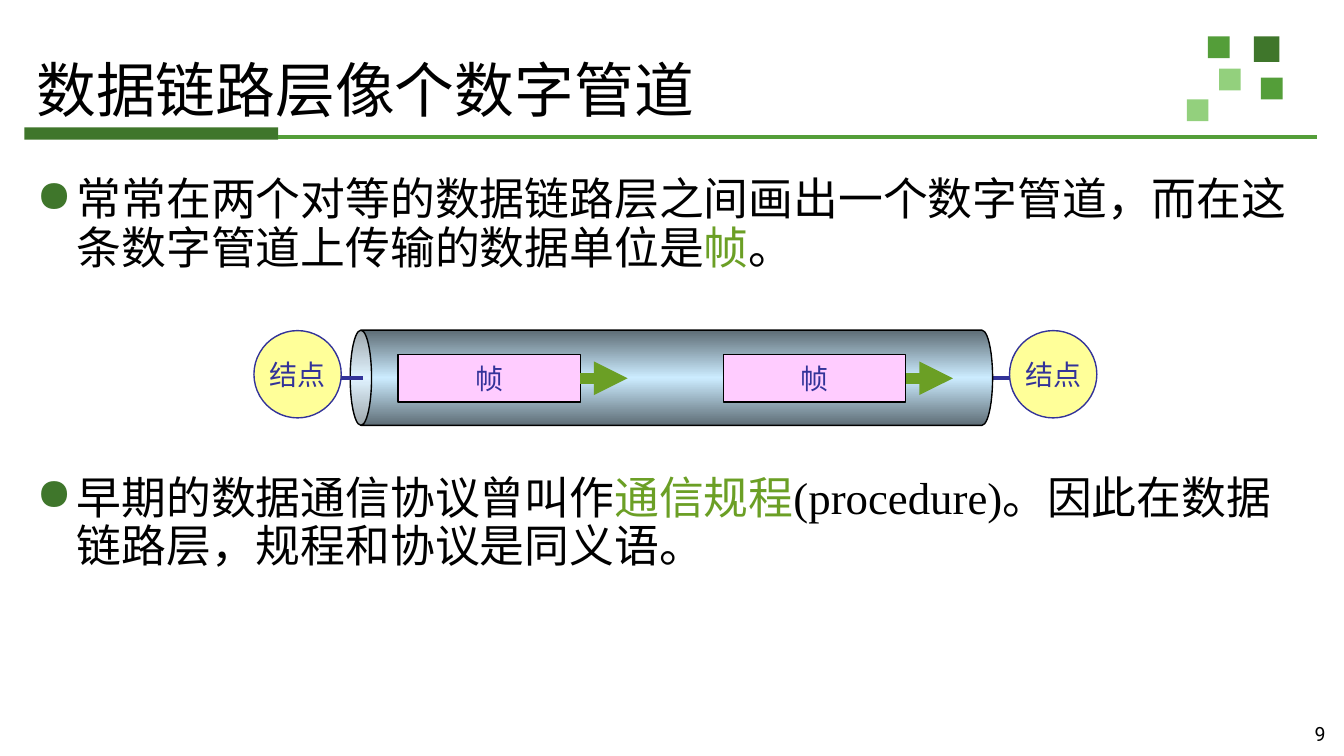
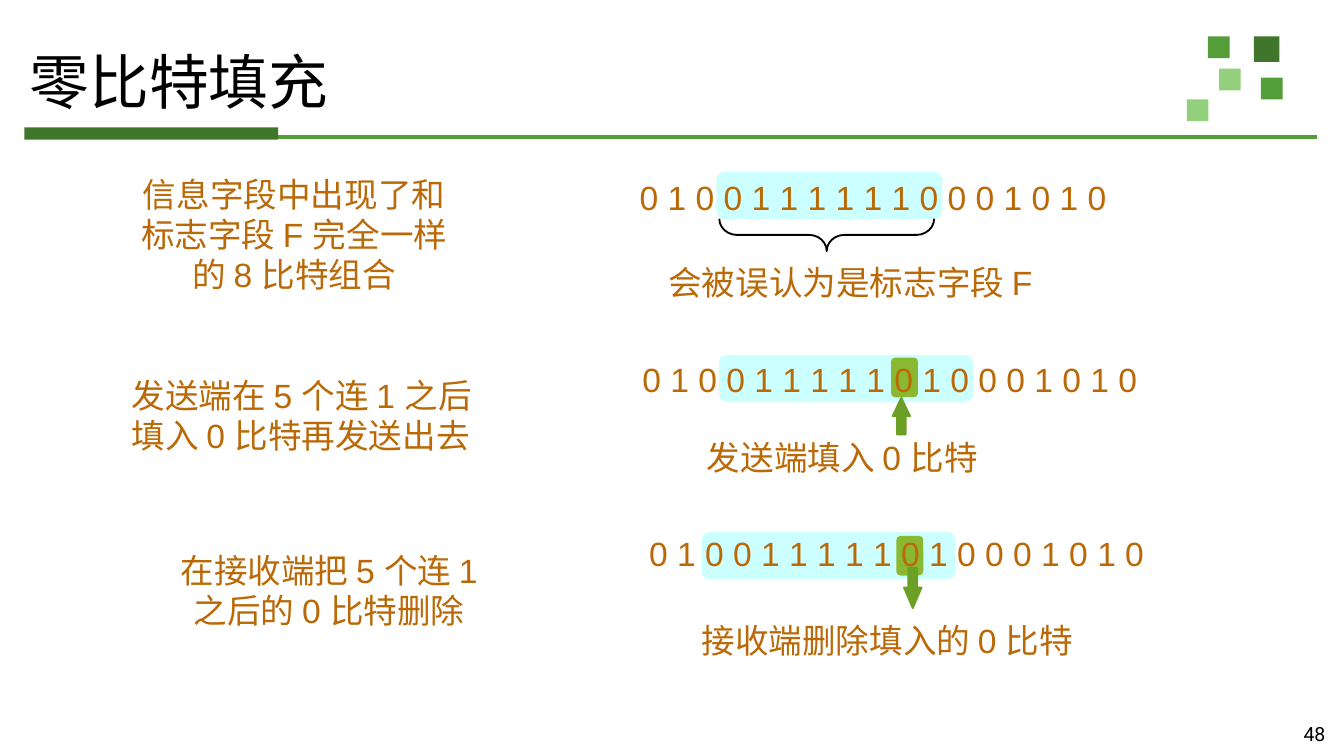
from copy import deepcopy

from lxml import etree
from pptx import Presentation
from pptx import util as u
from pptx.dml.color import RGBColor
from pptx.enum import shapes, text
from pptx.oxml.ns import qn

DARK_GREEN = RGBColor(0x3F, 0x76, 0x2B)
GREEN = RGBColor(0x54, 0x9E, 0x39)
PALE_GREEN = RGBColor(0x93, 0xD0, 0x7D)
ACCENT = RGBColor(0x6B, 0x9F, 0x25)
LIME = RGBColor(0x8A, 0xB8, 0x33)
BLACK = RGBColor(0, 0, 0)
NAVY = RGBColor(0x33, 0x33, 0x99)
YELLOW = RGBColor(0xFF, 0xFF, 0x99)
PINK = RGBColor(0xFF, 0xCC, 0xFF)
CYAN = RGBColor(0xCC, 0xFF, 0xFF)
STEEL = RGBColor(0x5E, 0x6D, 0x76)
SKY = RGBColor(0xCC, 0xEC, 0xFF)
ORANGE = RGBColor(0xBA, 0x69, 0x06)

SHAPE = shapes.MSO_SHAPE
LEFT, CENTER, RIGHT = text.PP_ALIGN.LEFT, text.PP_ALIGN.CENTER, text.PP_ALIGN.RIGHT
MIDDLE = text.MSO_ANCHOR.MIDDLE

# Corner squares: left, top, side, colour
SQUARES = [
    (23.7, 0.69, 0.48, DARK_GREEN),
    (22.83, 0.69, 0.41, GREEN),
    (23.83, 1.47, 0.41, GREEN),
    (23.04, 1.3, 0.41, PALE_GREEN),
    (22.43, 1.88, 0.41, PALE_GREEN),
]


def cm(values):
    return [u.Cm(value) for value in values]


class Deck:
    """Holds the presentation style and the current slide."""

    def __init__(self):
        self.prs = Presentation()
        self.prs.slide_width, self.prs.slide_height = cm((25.4, 14.29))
        self.slide = None

    def new_slide(self, title, title_box, title_font, number):
        self.slide = self.prs.slides.add_slide(self.prs.slide_layouts[6])
        for left, top, side, colour in SQUARES:
            self.shape(SHAPE.RECTANGLE, (left, top, side, side), colour)
        self.shape(SHAPE.RECTANGLE, (0.46, 2.41, 4.8, 0.23), DARK_GREEN)
        self.line((5.26, 2.59), (24.89, 2.59), GREEN, 2)
        heading = self.text(title_box, [title], 32, title_font, BLACK)
        heading.vertical_anchor = MIDDLE
        heading.paragraphs[0].line_spacing = 0.9
        self.text((23.83, 13.51, 1.47, 0.76), [str(number)], 10.5, "Roboto",
                  BLACK, RIGHT, (0.25, 0.13))

    def style(self, paragraph, size, font, colour, align=LEFT):
        paragraph.alignment = align
        paragraph.font.size = u.Pt(size)
        paragraph.font.name = font
        if colour is not None:
            paragraph.font.color.rgb = colour

    def frame(self, box, margins=(0.18, 0.1)):
        frame = self.slide.shapes.add_textbox(*cm(box)).text_frame
        frame.word_wrap = True
        frame.margin_left = frame.margin_right = u.Cm(margins[0])
        frame.margin_top = frame.margin_bottom = u.Cm(margins[1])
        return frame

    def text(self, box, lines, size, font, colour, align=LEFT, margins=(0.18, 0.1)):
        frame = self.frame(box, margins)
        frame.text = "\n".join(lines)
        for paragraph in frame.paragraphs:
            self.style(paragraph, size, font, colour, align)
        return frame

    def bullets(self, box, items, gap):
        """Each item is a list of (words, colour) pieces."""
        frame = self.frame(box)
        for index, pieces in enumerate(items):
            paragraph = frame.add_paragraph() if index else frame.paragraphs[0]
            paragraph.line_spacing = 0.9
            paragraph.space_before = u.Pt(gap if index else 0)
            props = paragraph._p.get_or_add_pPr()
            props.set("marL", str(u.Cm(0.76)))
            props.set("indent", str(u.Cm(-0.76)))
            tint = etree.SubElement(props, qn("a:buClr"))
            etree.SubElement(tint, qn("a:srgbClr"), val=str(DARK_GREEN))
            etree.SubElement(props, qn("a:buChar"), char="●")
            self.style(paragraph, 24, "Times New Roman", None)
            for words, colour in pieces:
                run = paragraph.add_run()
                run.text = words
                run.font.color.rgb = colour

    def shape(self, kind, box, fill=None, line=None, width=0.75, label="",
              turn=0, adjust=()):
        shape = self.slide.shapes.add_shape(kind, *cm(box))
        shape.shadow.inherit = False
        shape.rotation = turn
        for index, value in enumerate(adjust):
            shape.adjustments[index] = value
        if fill is None:
            shape.fill.background()
        else:
            shape.fill.solid()
            shape.fill.fore_color.rgb = fill
        if line is None:
            shape.line.fill.background()
        else:
            shape.line.color.rgb = line
            shape.line.width = u.Pt(width)
        if label:
            frame = shape.text_frame
            frame.word_wrap = False
            frame.vertical_anchor = MIDDLE
            frame.text = label
            self.style(frame.paragraphs[0], 15, "Roboto", NAVY, CENTER)
        return shape

    def pipe(self, box):
        pipe = self.shape(SHAPE.CAN, box, line=BLACK, turn=270, adjust=[0.224])
        pipe.fill.gradient()
        pipe.fill.gradient_angle = 0
        stops = pipe._element.spPr.find(qn("a:gradFill")).find(qn("a:gsLst"))
        stops.append(deepcopy(stops[0]))
        shades = ((0, STEEL), (0.5, SKY), (1, STEEL))
        for stop, (position, colour) in zip(pipe.fill.gradient_stops, shades):
            stop.position = position
            stop.color.rgb = colour

    def line(self, start, end, colour, width, arrow=False):
        line = self.slide.shapes.add_connector(
            shapes.MSO_CONNECTOR.STRAIGHT, *cm(start + end))
        line.line.color.rgb = colour
        line.line.width = u.Pt(width)
        etree.SubElement(line._element.spPr, qn("a:effectLst"))
        if arrow:
            etree.SubElement(line.line._get_or_add_ln(), qn("a:tailEnd"), type="triangle")
        return line

    def highlight(self, box, fill):
        self.shape(SHAPE.ROUNDED_RECTANGLE, box, fill, adjust=[0.167])

    def note(self, box, lines, align=LEFT):
        self.text(box, lines, 18, "Arial", ORANGE, align)


def digital_pipe(deck):
    deck.new_slide("数据链路层像个数字管道", (0.51, 0.97, 19.41, 1.6),
                   "Times New Roman", 9)
    deck.bullets((0.51, 3.25, 24.51, 10.69), [
        [("常常在两个对等的数据链路层之间画出一个数字管道，"
          "而在这条数字管道上传输的数据单位是", BLACK), ("帧", ACCENT), ("。", BLACK)],
        [("早期的数据通信协议曾叫作", BLACK), ("通信规程", ACCENT),
         ("(procedure)。因此在数据链路层，规程和协议是同义语。", BLACK)],
    ], gap=108)

    # Nodes joined through the pipe
    axis = 7.15
    for left in (4.8, 19.08):
        deck.shape(SHAPE.OVAL, (left, 6.25, 1.65, 1.65), YELLOW, NAVY, label="结点")
    deck.line((6.45, axis), (19.08, axis), NAVY, 2.25)
    deck.pipe((11.79, 1.07, 1.8, 12.14))
    deck.line((6.45, axis), (6.86, axis), NAVY, 2.25)

    # Frames moving along the pipe
    width, height = 3.45, 0.9
    for left in (7.52, 13.67):
        packet = deck.shape(SHAPE.RECTANGLE, (left, axis - height / 2, width, height),
                            PINK, BLACK, label="帧")
        motion = deck.line((left + width, axis), (left + width + 0.89, axis),
                           ACCENT, 6, arrow=True)
        motion.begin_connect(packet, 3)


def zero_bit_stuffing(deck):
    deck.new_slide("零比特填充", (0.38, 0.71, 24.46, 1.8), "Roboto", 48)

    # Highlights behind the bits: the flag pattern, then the stuffed zero
    for box in ((13.54, 3.25, 4.27, 0.89), (13.59, 6.71, 4.8, 0.89),
                (13.26, 10.06, 4.8, 0.89)):
        deck.highlight(box, CYAN)
    for left, top in ((16.84, 6.76), (16.94, 10.13)):
        deck.highlight((left, top, 0.51, 0.75), LIME)

    # Bit strings
    plain = "0 1 0 0 1 1 1 1 1 1 0 0 0 1 0 1 0"
    stuffed = "0 1 0 0 1 1 1 1 1 0 1 0 0 0 1 0 1 0"
    for left, top, bits in ((11.91, 3.25, plain), (11.96, 6.68, stuffed),
                            (12.09, 9.98, stuffed)):
        deck.note((left, top, 9.83, 0.97), [bits])

    # Explanations on the left
    deck.note((0.91, 3.18, 9.3, 2.49),
              ["信息字段中出现了和", "标志字段 F 完全一样", "的 8 比特组合"], CENTER)
    deck.note((2.31, 6.99, 8.61, 1.73),
              ["发送端在 5 个连 1 之后", "填入 0 比特再发送出去"])
    deck.note((2.31, 10.29, 7.82, 1.73),
              ["在接收端把 5 个连 1", "之后的 0 比特删除"], CENTER)

    # Captions under the bits
    for left, top, width, caption in (
            (12.45, 4.85, 7.54, "会被误认为是标志字段 F"),
            (13.18, 8.15, 5.59, "发送端填入 0 比特"),
            (13.08, 11.61, 7.49, "接收端删除填入的 0 比特")):
        deck.note((left, top, width, 0.97), [caption])

    # Brace and arrows
    deck.shape(SHAPE.LEFT_BRACE, (15.32, 2.41, 0.61, 4.06), line=BLACK, width=1,
               turn=270, adjust=[0.546, 0.5])
    for box, turn, head in (((16.69, 7.7, 0.69, 0.33), 270, 1.05),
                            ((16.87, 10.95, 0.76, 0.33), 90, 1.17)):
        deck.shape(SHAPE.RIGHT_ARROW, box, ACCENT, ACCENT, 1, turn=turn,
                   adjust=[0.5, head])


def main():
    deck = Deck()
    digital_pipe(deck)
    zero_bit_stuffing(deck)
    deck.prs.save("out.pptx")


if __name__ == "__main__":
    main()
